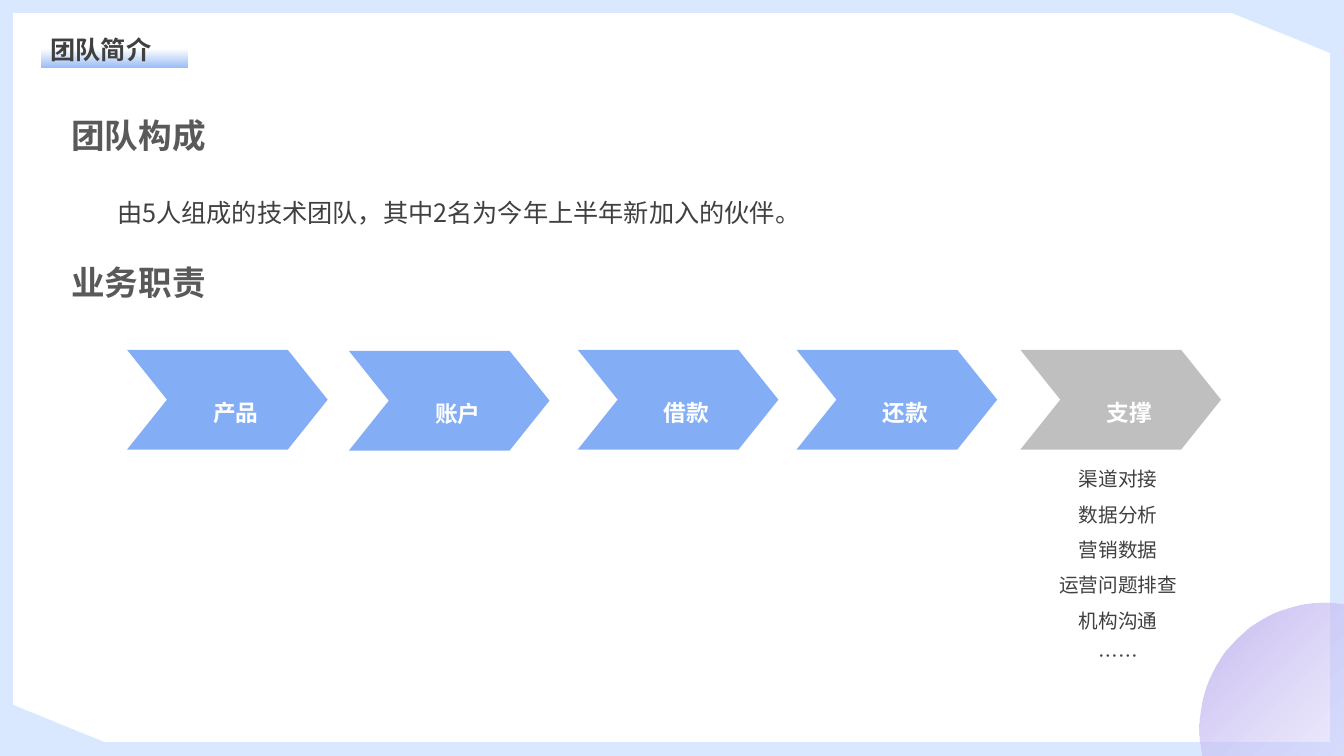
from pptx import Presentation
from pptx.dml.color import RGBColor
from pptx.enum.shapes import MSO_SHAPE
from pptx.enum.text import MSO_ANCHOR, MSO_AUTO_SIZE, PP_ALIGN
from pptx.oxml import parse_xml
from pptx.oxml.ns import nsdecls, qn
from pptx.util import Emu, Pt
from lxml.etree import SubElement

EMU_PER_PX = 9144


def px(length):
    return Emu(length * EMU_PER_PX)


def color(hex_code):
    return RGBColor.from_string(hex_code)


class TeamSlide:
    font_name = "Noto Sans CJK SC"
    sky = "D9E8FF"
    blue = "83AEF5"
    grey = "BFBFBF"
    white = "FFFFFF"
    dark = "404040"
    heading_grey = "595959"

    def __init__(self, presentation):
        self.slide = presentation.slides.add_slide(presentation.slide_layouts[1])

    def shape(self, kind, box, fill, rotation=0):
        shape = self.slide.shapes.add_shape(kind, *map(px, box))
        shape.shadow.inherit = False
        shape.rotation = rotation
        shape.line.fill.background()
        shape.fill.solid()
        shape.fill.fore_color.rgb = color(fill)
        return shape

    def gradient(self, shape, stops, direction):
        stop_xml = "".join(
            f'<a:gs pos="{position * 1000}"><a:srgbClr val="{hex_code}">'
            f'<a:alpha val="{alpha * 1000}"/></a:srgbClr></a:gs>'
            for position, hex_code, alpha in stops)
        properties = shape._element.spPr
        properties.replace(properties.find(qn("a:solidFill")), parse_xml(
            f'<a:gradFill rotWithShape="1" {nsdecls("a")}>'
            f'<a:gsLst>{stop_xml}</a:gsLst>{direction}</a:gradFill>'))

    def set_text(self, holder, lines, size, hex_code, bold=False, align=PP_ALIGN.LEFT,
                 spacing=1, anchor=MSO_ANCHOR.TOP, baseline=0):
        frame = holder.text_frame
        frame.word_wrap = True
        frame.auto_size = MSO_AUTO_SIZE.SHAPE_TO_FIT_TEXT
        frame.vertical_anchor = anchor
        frame.text = "\n".join(lines)
        for paragraph in frame.paragraphs:
            if holder.is_placeholder:
                properties = paragraph._p.get_or_add_pPr()
                properties.set("marL", "0")
                properties.set("indent", "0")
                SubElement(properties, qn("a:buNone"))
            paragraph.alignment = align
            paragraph.line_spacing = spacing
            paragraph.space_before = Pt(0)
            font = paragraph.font
            font.name = self.font_name
            font.size = Pt(size)
            font.bold = bold
            font.color.rgb = color(hex_code)
            defaults = paragraph._p.pPr.find(qn("a:defRPr"))
            SubElement(defaults, qn("a:ea"), typeface=self.font_name)
            latin = defaults.find(qn("a:latin"))
            latin.addnext(defaults.find(qn("a:ea")))
            if baseline:
                defaults.set("baseline", str(baseline * 1000))

    def text(self, box, line, size, hex_code, **style):
        holder = self.slide.shapes.add_textbox(*map(px, box))
        self.set_text(holder, [line], size, hex_code, **style)

    def placeholder(self, index, box, lines, size, hex_code, **style):
        holder = self.slide.placeholders[index]
        holder.left, holder.top, holder.width, holder.height = map(px, box)
        self.slide.shapes._spTree.append(holder._element)
        self.set_text(holder, lines, size, hex_code, **style)

    def backdrop(self):
        self.shape(MSO_SHAPE.RECTANGLE, (0, 0, 1333, 750), self.sky)
        self.shape(MSO_SHAPE.RECTANGLE, (13, 13, 1306, 723), self.white)
        underline = self.shape(MSO_SHAPE.RECTANGLE, (41, 49, 145, 18), self.blue)
        self.gradient(underline, [(0, self.blue, 84), (100, self.blue, 0)],
                      '<a:lin ang="16200000" scaled="0"/>')
        circle = self.shape(MSO_SHAPE.OVAL, (1190, 598, 251, 251), "C1B5EF", 270)
        self.gradient(circle, [(0, "DCD7FF", 0), (100, "C1B5EF", 91)],
                      '<a:path path="circle"><a:fillToRect l="100000" t="100000"/></a:path>')
        self.shape(MSO_SHAPE.RIGHT_TRIANGLE, (0, 694, 145, 59), self.sky)
        self.shape(MSO_SHAPE.RIGHT_TRIANGLE, (1190, 0, 145, 59), self.sky, 180)

    def duty(self, name, left, top, fill):
        arrow = self.shape(MSO_SHAPE.CHEVRON, (left, top, 199, 99), fill)
        arrow.adjustments[0] = 0.4
        self.text((left + 24, top + 27, 168, 45), name, 28, self.white, bold=True,
                  align=PP_ALIGN.CENTER, spacing=1.2, anchor=MSO_ANCHOR.MIDDLE, baseline=-3)


def main():
    presentation = Presentation()
    presentation.slide_width = px(1333)
    presentation.slide_height = px(750)
    team = TeamSlide(presentation)

    team.backdrop()
    team.placeholder(0, (40, 29, 145, 40), ["团队简介"], 18, team.dark,
                     bold=True, align=PP_ALIGN.JUSTIFY)
    for heading, top in (("团队构成", 109), ("业务职责", 255)):
        team.text((61, top, 384, 50), heading, 24, team.heading_grey, bold=True)
    team.text((97, 176, 716, 55), "由5人组成的技术团队，其中2名为今年上半年新加入的伙伴。",
              18, team.dark, align=PP_ALIGN.CENTER, spacing=1.5)

    for name, left, top, fill in (
            ("产品", 126, 347, team.blue), ("账户", 346, 348, team.blue),
            ("借款", 573, 347, team.blue), ("还款", 790, 347, team.blue),
            ("支撑", 1012, 347, team.grey)):
        team.duty(name, left, top, fill)

    support_tasks = ["渠道对接", "数据分析", "营销数据", "运营问题排查", "机构沟通", "……"]
    team.placeholder(1, (986, 447, 246, 222), support_tasks, 14, team.dark,
                     align=PP_ALIGN.CENTER, spacing=1.5)
    presentation.save("out.pptx")


if __name__ == "__main__":
    main()
